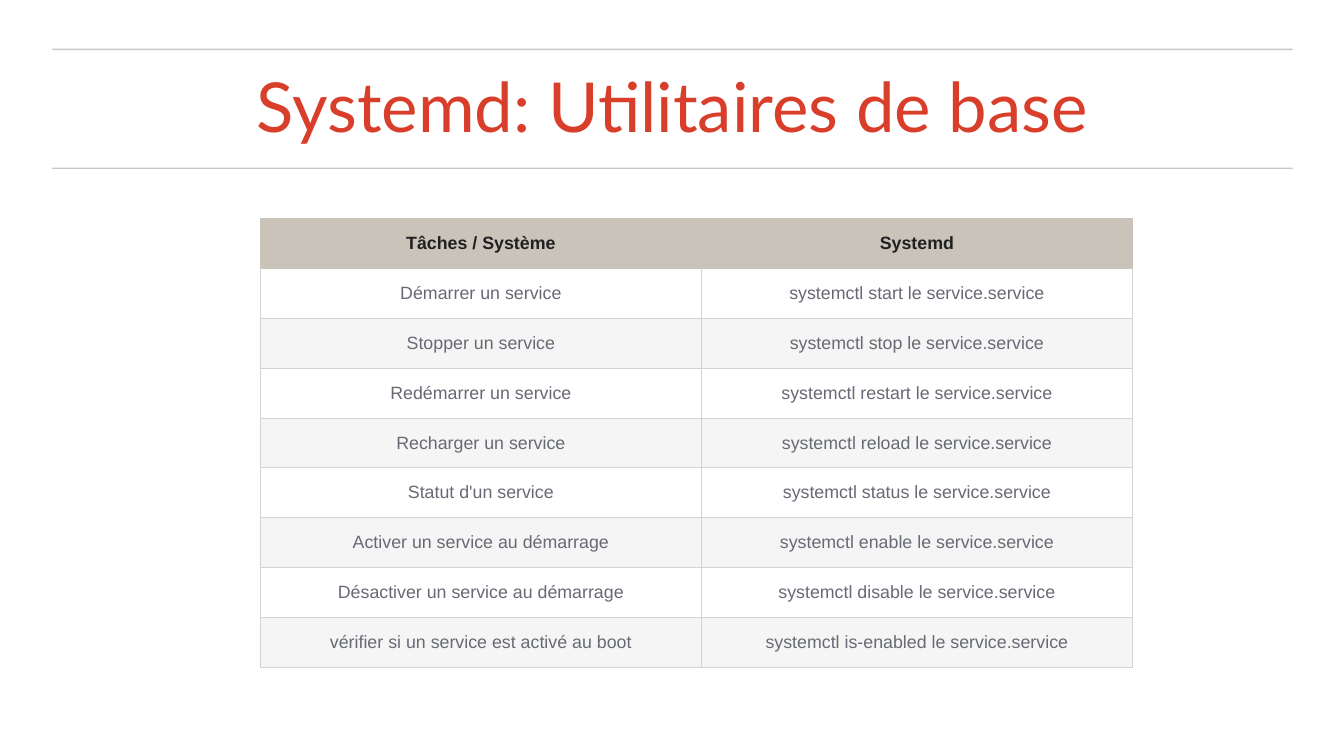
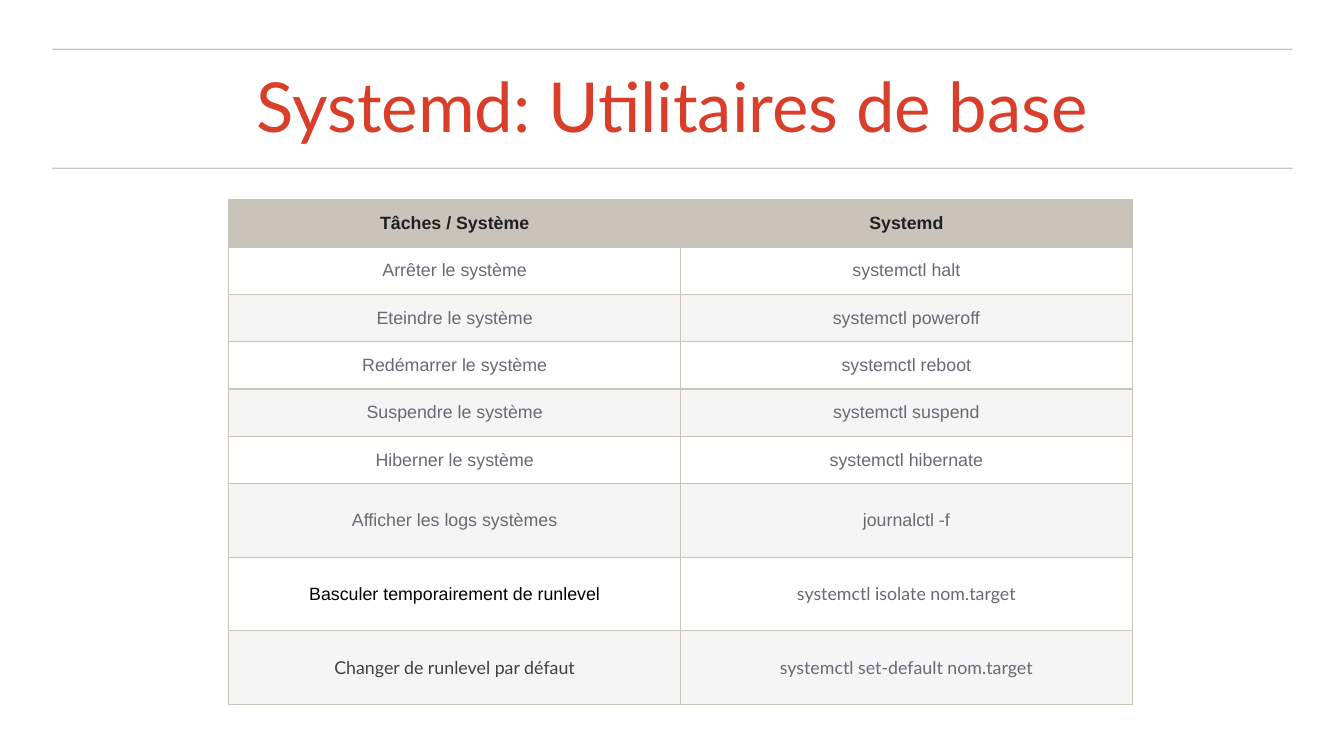
from lxml.etree import SubElement
from pptx import Presentation
from pptx.dml.color import RGBColor
from pptx.enum.shapes import MSO_CONNECTOR
from pptx.enum.text import MSO_ANCHOR, PP_ALIGN
from pptx.oxml.ns import qn
from pptx.util import Inches, Pt

RED, RULE, SAND, GRID = "D93E2B", "444444", "C9C3BA", "D1D2D4"
DARK, GREY, BLACK, COAL = "202020", "676A74", "000000", "414141"
BANDS = ["F5F5F5", "FFFFFF"]
TITLE = "Systemd: Utilitaires de base"
HEAD = ("Tâches / Système", "Systemd")

SERVICES = [
    ("Démarrer un service", "systemctl start le service.service"),
    ("Stopper un service", "systemctl stop le service.service"),
    ("Redémarrer un service", "systemctl restart le service.service"),
    ("Recharger un service", "systemctl reload le service.service"),
    ("Statut d'un service", "systemctl status le service.service"),
    ("Activer un service au démarrage", "systemctl enable le service.service"),
    ("Désactiver un service au démarrage", "systemctl disable le service.service"),
    ("vérifier si un service est activé au boot", "systemctl is-enabled le service.service"),
]
SYSTEM = [
    ("Arrêter le système", "systemctl halt"),
    ("Eteindre le système", "systemctl poweroff"),
    ("Redémarrer le système", "systemctl reboot"),
    ("Suspendre le système", "systemctl suspend"),
    ("Hiberner le système", "systemctl hibernate"),
    ("Afficher les logs systèmes", "journalctl -f"),
    ("Basculer temporairement de runlevel", "systemctl isolate nom.target"),
    ("Changer de runlevel par défaut", "systemctl set-default nom.target"),
]
SPECIAL = {
    (7, 0): {"color": BLACK},
    (7, 1): {"font": "Lato"},
    (8, 0): {"font": "Lato", "color": COAL},
    (8, 1): {"font": "Lato"},
}


def paint(hue):
    """Turn a hex string into a colour."""
    return RGBColor.from_string(hue)


def write(frame, text, size=12.7, font="Arial", color=GREY, bold=False, space=1.0):
    """Put one centred paragraph of formatted text in a frame."""
    para = frame.paragraphs[0]
    para.alignment = PP_ALIGN.CENTER
    para.line_spacing = space
    run = para.add_run()
    run.text = text
    run.font.size = Pt(size)
    run.font.name = font
    run.font.bold = bold
    run.font.color.rgb = paint(color)


def rule(slide, left, top, width):
    """Draw a pale horizontal line."""
    line = slide.shapes.add_connector(
        MSO_CONNECTOR.STRAIGHT, Inches(left), Inches(top), Inches(left + width), Inches(top))
    line.line.width = Pt(1)
    line.line.color.rgb = paint(RULE)
    props = line._element.spPr
    SubElement(next(props.iter(qn("a:srgbClr"))), qn("a:alpha"), val="30000")
    SubElement(props, qn("a:effectLst"))


def banner(slide, left, top, width, height):
    """Place the title between its two rules."""
    for edge in (top, top + height):
        rule(slide, left, edge, width)
    box = slide.shapes.add_textbox(
        Inches(left), Inches(top + 0.13), Inches(width), Inches(height - 0.24))
    frame = box.text_frame
    frame.word_wrap = True
    frame.vertical_anchor = MSO_ANCHOR.MIDDLE
    frame.margin_left = frame.margin_right = Inches(0.06)
    frame.margin_top = frame.margin_bottom = Inches(0.06)
    write(frame, TITLE, size=49.2, font="Lato", color=RED, space=0.9)


def border(cell, sides, hue, width):
    """Line the given sides of a cell, in the order L, R, T, B."""
    props = cell._tc.get_or_add_tcPr()
    for side in sides:
        line = SubElement(props, qn(f"a:ln{side}"), w=str(Pt(width)))
        fill = SubElement(line, qn("a:solidFill"))
        SubElement(fill, qn("a:srgbClr"), val=hue)


def grid(slide, left, top, cols, heights, rows, edge, special):
    """Build a banded table of tasks and commands."""
    rows = [HEAD, *rows]
    table = slide.shapes.add_table(
        len(rows), len(cols), Inches(left), Inches(top),
        Inches(sum(cols)), Inches(sum(heights))).table
    table.first_row = table.horz_banding = False
    for col, width in zip(table.columns, cols):
        col.width = Inches(width)
    for i, texts in enumerate(rows):
        table.rows[i].height = Inches(heights[i])
        for j, text in enumerate(texts):
            cell = table.cell(i, j)
            cell.vertical_anchor = MSO_ANCHOR.MIDDLE
            cell.margin_left = cell.margin_right = Inches(0.08)
            cell.margin_top = cell.margin_bottom = Inches(0.08)
            for side in "LRTB":
                sand = i == 0 or (i == 1 and side == "T")
                border(cell, side, *((SAND, 1) if sand else edge))
            cell.fill.solid()
            cell.fill.fore_color.rgb = paint(BANDS[i % 2] if i else SAND)
            look = special.get((i, j), {}) if i else {"color": DARK, "bold": True}
            write(cell.text_frame, text, **look)


def page(deck, **table):
    """Add a slide with the title band and a table."""
    slide = deck.slides.add_slide(deck.slide_layouts[6])
    banner(slide, 0.52, 0.49, 12.3, 1.18)
    grid(slide, **table)


def main():
    """Build and save the deck."""
    deck = Presentation()
    deck.slide_width, deck.slide_height = Inches(13.33), Inches(7.5)
    page(deck, left=2.58, top=2.17, cols=[4.38, 4.27], heights=[4.45 / 9] * 9,
         rows=SERVICES, edge=(GRID, 0.75), special={})
    page(deck, left=2.27, top=1.98, cols=[4.48] * 2, heights=[0.47] * 6 + [0.73] * 3,
         rows=SYSTEM, edge=(SAND, 1), special=SPECIAL)
    deck.save("out.pptx")


if __name__ == "__main__":
    main()
